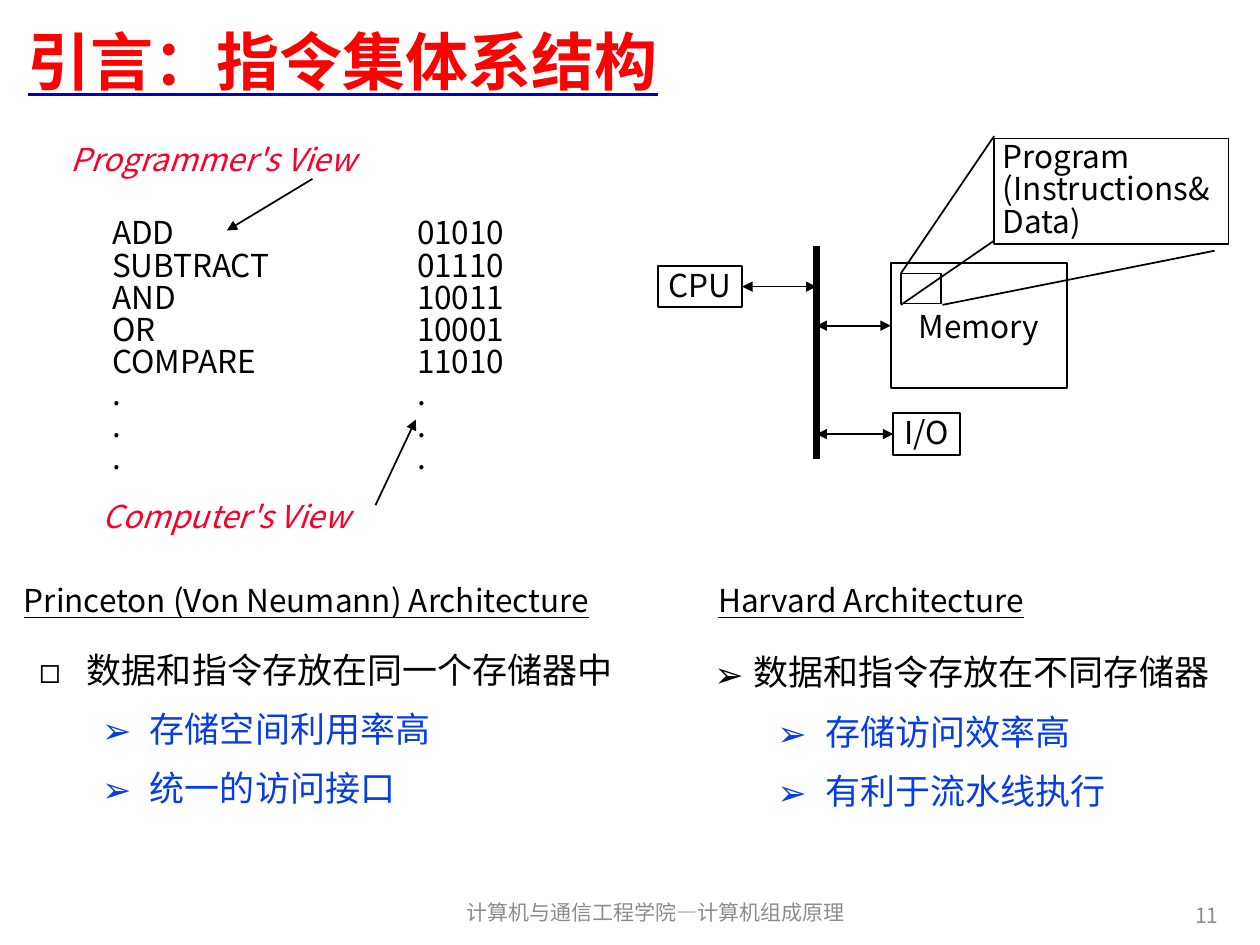
from dataclasses import dataclass

from lxml.etree import SubElement
from pptx import Presentation
from pptx.dml.color import RGBColor
from pptx.enum.shapes import MSO_CONNECTOR as Connector, MSO_SHAPE as Shape
from pptx.enum.text import MSO_ANCHOR as Anchor, MSO_AUTO_SIZE as AutoSize, PP_ALIGN as Align
from pptx.oxml.ns import qn
from pptx.util import Inches, Pt


@dataclass(frozen=True)
class Theme:
    font: str = "Noto Sans CJK SC"
    title: int = 36
    point: int = 20
    body: int = 18
    footer: int = 12
    ink: str = "000000"
    paper: str = "FFFFFF"
    heading: str = "FF0000"
    rule: str = "0000CC"
    view: str = "FC0128"
    detail: str = "063DE8"
    muted: str = "8C8C8C"
    thin: float = 1
    bus: float = 4


THEME = Theme()
COLUMNS, ROWS = 100, 75
TOP, LEFT, BOTTOM, RIGHT = range(4)


def grid(cells):
    return Inches(cells / 10)


def color(value):
    return RGBColor.from_string(value)


def style(para, size, ink=THEME.ink, bold=None, italic=None, underline=None, rule=None):
    font = para.font
    font.name, font.size = THEME.font, Pt(size)
    font.bold, font.italic, font.underline = bold, italic, underline
    font.color.rgb = color(ink)
    properties = para._p.pPr.find(qn("a:defRPr"))
    latin = properties.find(qn("a:latin"))
    east_asian = SubElement(properties, qn("a:ea"), typeface=THEME.font)
    latin.addnext(east_asian)
    if rule:
        underline_fill = SubElement(properties, qn("a:uFill"))
        solid = SubElement(underline_fill, qn("a:solidFill"))
        SubElement(solid, qn("a:srgbClr"), val=rule)
        latin.addprevious(underline_fill)


def set_frame(box, inset=(0.07, 0.03), anchor=Anchor.TOP, wrap=False, grow=True):
    frame = box.text_frame
    frame.margin_left = frame.margin_right = Inches(inset[0])
    frame.margin_top = frame.margin_bottom = Inches(inset[1])
    frame.vertical_anchor, frame.word_wrap = anchor, wrap
    frame.auto_size = AutoSize.SHAPE_TO_FIT_TEXT if grow else AutoSize.NONE
    return frame


def write_lines(frame, lines, spacing, align=Align.LEFT, **look):
    for index, line in enumerate(lines):
        para = frame.paragraphs[0] if index == 0 else frame.add_paragraph()
        para.add_run().text = line
        para.alignment, para.line_spacing = align, spacing
        style(para, **look)


def add_text(page, area, lines, spacing=0.85, **look):
    box = page.shapes.add_textbox(*map(grid, area))
    write_lines(set_frame(box), lines, spacing, **{"size": THEME.body, **look})


def add_banner(page, area, text, **look):
    box = page.shapes.add_textbox(*map(grid, area))
    frame = set_frame(box, (0.1, 0.05), Anchor.MIDDLE, wrap=True, grow=False)
    write_lines(frame, [text], 1.0, **look)


def add_points(page, area, indent, bullet, point, details):
    box = page.shapes.add_textbox(*map(grid, area))
    frame = set_frame(box)
    rows = [(point, bullet, indent, indent, 0, THEME.ink)]
    rows += [(text, "➢", 0.88, 0.38, 1, THEME.detail) for text in details]
    for index, (text, mark, margin, hanging, level, ink) in enumerate(rows):
        para = frame.add_paragraph() if index else frame.paragraphs[0]
        para.add_run().text = text
        para.level, para.line_spacing = level, 1.2
        if index:
            para.space_before = Pt(THEME.point / 4)
        properties = para._p.get_or_add_pPr()
        properties.set("marL", str(Inches(margin)))
        properties.set("indent", str(-Inches(hanging)))
        SubElement(properties, qn("a:buFont"), typeface=THEME.font)
        SubElement(properties, qn("a:buChar"), char=mark)
        style(para, THEME.point, ink)


def add_block(page, area, lines=(), fill=None, spacing=0.92, align=Align.CENTER, **frame_look):
    block = page.shapes.add_shape(Shape.RECTANGLE, *map(grid, area))
    block.shadow.inherit = False
    if fill:
        block.fill.solid()
        block.fill.fore_color.rgb = color(fill)
    else:
        block.fill.background()
    block.line.color.rgb = color(THEME.ink)
    block.line.width = Pt(THEME.thin)
    if lines:
        frame = set_frame(block, **{"anchor": Anchor.MIDDLE, **frame_look})
        write_lines(frame, lines, spacing, align, size=THEME.body)
    return block


def add_line(page, start, end, width=THEME.thin, heads=()):
    line = page.shapes.add_connector(Connector.STRAIGHT, *map(grid, start + end))
    line.line.color.rgb = color(THEME.ink)
    line.line.width = Pt(width)
    outline = line.line._get_or_add_ln()
    for head in heads:
        SubElement(outline, qn(f"a:{head}"), type="triangle")
    SubElement(line._element.spPr, qn("a:effectLst"))
    return line


def add_views(page):
    listings = [
        (8.2, 14.2, ["ADD", "SUBTRACT", "AND", "OR", "COMPARE"]),
        (32.4, 8.8, ["01010", "01110", "10011", "10001", "11010"]),
    ]
    for left, width, words in listings:
        add_text(page, (left, 17.1, width, 21.2), words + ["."] * 3)
    views = [
        ("Programmer's View", (4.9, 11.3, 25, 3.1), (24.8, 14.2), (18, 18.3)),
        ("Computer's View", (7.4, 39.6, 22, 3.1), (29.8, 40.1), (33, 33.3)),
    ]
    for label, area, start, end in views:
        add_text(page, area, [label], ink=THEME.view, italic=True)
        add_line(page, start, end, heads=["tailEnd"])


def add_machine(page):
    bus = 64.8
    both = ["headEnd", "tailEnd"]
    cpu = add_block(page, (52.2, 21.1, 6.7, 3.3), ["CPU"])
    memory = add_block(page, (70.7, 20.9, 14, 9.9), ["Memory"], spacing=1.0,
                       inset=(0.1, 0.05), grow=False)
    ports = add_block(page, (70.9, 32.8, 5.3, 3.3), ["I/O"])
    add_line(page, (bus, 19.5), (bus, 36.4), THEME.bus)
    for block, middle, side in [(cpu, 22.75, RIGHT), (memory, 25.85, LEFT), (ports, 34.45, LEFT)]:
        link = add_line(page, (bus, middle), (bus, middle), heads=both)
        link.end_connect(block, side)

    add_block(page, (71.5, 21.7, 3.2, 2.4))
    add_block(page, (78.9, 11, 18.6, 8.4), ["Program", "(Instructions&", "Data)"],
              fill=THEME.paper, spacing=0.86, align=Align.LEFT, anchor=Anchor.TOP)
    for start, end in [((71.5, 21.7), (78.9, 10.8)), ((74.8, 24.2), (96.4, 19.9)),
                       ((71.5, 24.2), (78.9, 19.1))]:
        add_line(page, start, end)


def add_architectures(page):
    for left, width, name in [(1.2, 48.2, "Princeton (Von Neumann) Architecture"),
                              (56.3, 26.5, "Harvard Architecture")]:
        add_text(page, (left, 46.3, width, 3.1), [name], underline=True)
    add_points(page, (2.4, 50.5, 47.3, 14.4), 0.38, "◻", "数据和指令存放在同一个存储器中",
               ["存储空间利用率高", "统一的访问接口"])
    add_points(page, (56, 50.7, 41, 14.4), 0.31, "➢", "数据和指令存放在不同存储器",
               ["存储访问效率高", "有利于流水线执行"])


def main():
    deck = Presentation()
    deck.slide_width, deck.slide_height = grid(COLUMNS), grid(ROWS)
    page = deck.slides.add_slide(deck.slide_layouts[6])
    add_banner(page, (1.2, 0.5, 96.9, 8.5), "引言：指令集体系结构", size=THEME.title,
               ink=THEME.heading, bold=True, underline=True, rule=THEME.rule)
    footer = {"size": THEME.footer, "ink": THEME.muted}
    add_banner(page, (33.5, 70.4, 37.1, 4), "计算机与通信工程学院—计算机组成原理",
               align=Align.CENTER, **footer)
    add_banner(page, (74.4, 70.6, 23.3, 4), "11", align=Align.RIGHT, **footer)
    add_views(page)
    add_machine(page)
    add_architectures(page)


    deck.save("out.pptx")


if __name__ == "__main__":
    main()
